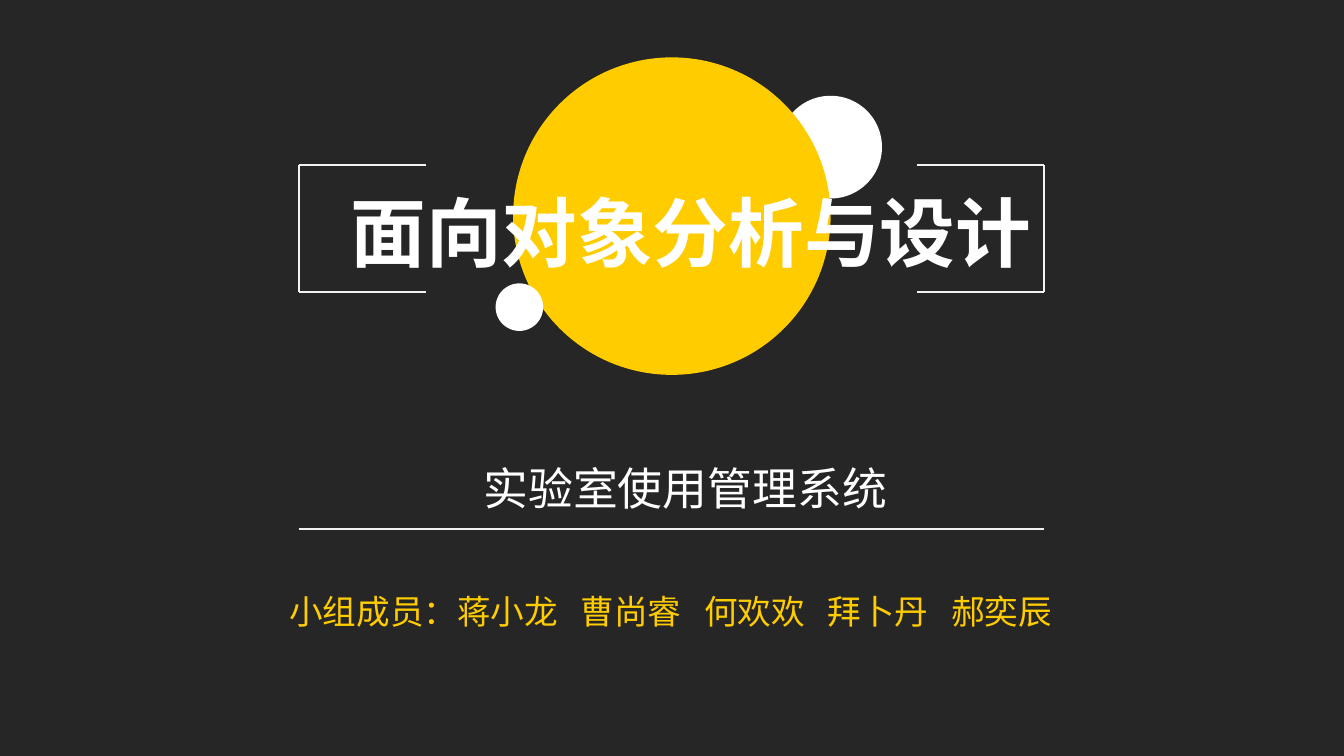
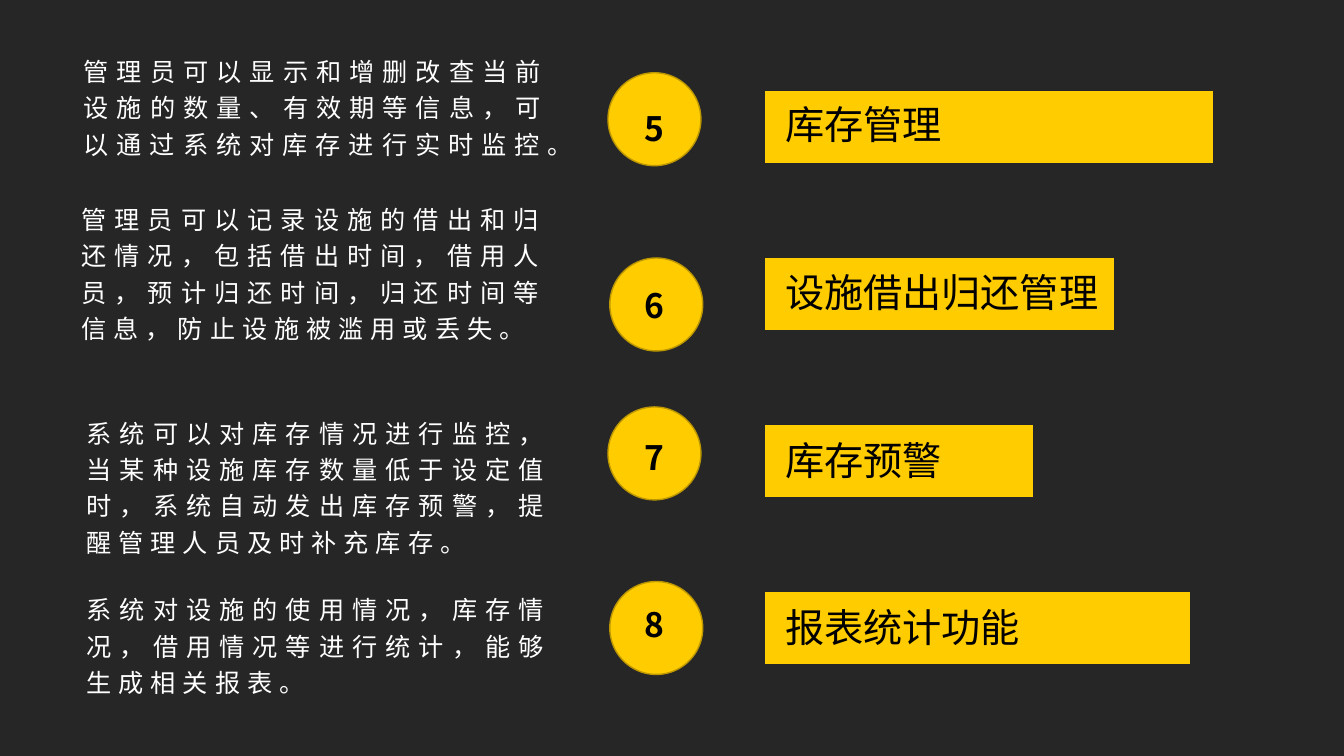
"""Build the title slide and the function overview of a laboratory management deck."""
from lxml.etree import SubElement
from pptx import Presentation
from pptx.chart.data import CategoryChartData
from pptx.dml.color import RGBColor
from pptx.enum.chart import XL_CHART_TYPE
from pptx.enum.lang import MSO_LANGUAGE_ID
from pptx.enum.shapes import MSO_CONNECTOR, MSO_SHAPE
from pptx.enum.text import PP_ALIGN
from pptx.oxml import parse_xml
from pptx.oxml.ns import nsdecls, qn
from pptx.util import Pt

DARK, YELLOW, OCHRE = "262626", "FFCC00", "BD9700"
WHITE, PALE, BLACK = "FFFFFF", "F2F2F2", "000000"
HEADING_FONT, BODY_FONT, LABEL_FONT = "Noto Sans CJK JP", "Noto Sans CJK SC", "Calibri"


def paint(fill, colour):
    """Fill with a hex colour, or clear the fill when there is none."""
    if colour is None:
        fill.background()
    else:
        fill.solid()
        fill.fore_color.rgb = RGBColor.from_string(colour)


def write(page, text, left, top, width, height, size, colour=WHITE, font=HEADING_FONT,
          bold=False, align=PP_ALIGN.LEFT, leading=1.0, spacing=0, tabs=()):
    """Add a text box with one formatted paragraph."""
    box = page.shapes.add_textbox(Pt(left), Pt(top), Pt(width), Pt(height))
    box.text_frame.word_wrap = True
    para = box.text_frame.paragraphs[0]
    para.alignment = align
    para.line_spacing = leading
    if tabs:
        tab_list = SubElement(para._p.get_or_add_pPr(), qn("a:tabLst"))
        for position in tabs:
            SubElement(tab_list, qn("a:tab"), pos=str(Pt(position)), algn="l")
    span = para.add_run()
    span.text = text
    span.font.name = font
    span.font.size = Pt(size)
    span.font.bold = bold
    span.font.language_id = MSO_LANGUAGE_ID.SIMPLIFIED_CHINESE
    paint(span.font.fill, colour)
    properties = span._r.get_or_add_rPr()
    if spacing:
        properties.set("spc", str(spacing * 100))
    east_asian = BODY_FONT if font == LABEL_FONT else font
    SubElement(properties, qn("a:ea"), typeface=east_asian)


deck = Presentation()
deck.slide_width, deck.slide_height = Pt(960), Pt(540)
cover, overview = [deck.slides.add_slide(deck.slide_layouts[6]) for _ in range(2)]
for page in (cover, overview):
    paint(page.background.fill, DARK)

circles = [
    (cover, 556.6, 68.4, 73.4, WHITE, None),
    (cover, 366.5, 41, 226.8, YELLOW, None),
    (cover, 354, 202.4, 34, WHITE, None),
    (overview, 434.3, 52, 66.4, YELLOW, OCHRE),
    (overview, 435.6, 184.3, 66.4, YELLOW, OCHRE),
    (overview, 434.3, 290.7, 66.4, YELLOW, OCHRE),
    (overview, 435.6, 415.4, 66.4, YELLOW, OCHRE),
]
for page, left, top, size, colour, outline in circles:
    circle = page.shapes.add_shape(MSO_SHAPE.OVAL, Pt(left), Pt(top), Pt(size), Pt(size))
    circle.shadow.inherit = False
    paint(circle.fill, colour)
    paint(circle.line.fill, outline)
    if outline:
        circle.line.width = Pt(1)

frame_left, frame_right, frame_top, frame_bottom = 213.3, 745.8, 118, 208.7
rules = [(frame_left, 378, frame_right, 378)]
for side, inward in ((frame_left, 90.7), (frame_right, -90.7)):
    rules.append((side, frame_top, side, frame_bottom))
    for edge in (frame_top, frame_bottom):
        rules.append((side, edge, side + inward, edge))
for ends in rules:
    rule = cover.shapes.add_connector(MSO_CONNECTOR.STRAIGHT, *map(Pt, ends))
    paint(rule.line.fill, PALE)
    rule.line.width = Pt(1.5)
    SubElement(rule._element.spPr, qn("a:effectLst"))

write(cover, "面向对象分析与设计", 213.3, 129, 560, 107, 54, bold=True, align=PP_ALIGN.CENTER)
write(cover, "实验室使用管理系统", 201.6, 330, 576, 46, 32, align=PP_ALIGN.CENTER, leading=0.9)
members = ["小组成员：蒋小龙", "曹尚睿", "何欢欢", "拜卜丹", "郝奕辰"]
write(cover, "\t".join(members), 199.6, 418.3, 620, 36, 24, YELLOW, LABEL_FONT,
      tabs=[120 + 88.2 * step for step in range(1, len(members))])

data = CategoryChartData()
data.categories = ["1", "2", "3", "4"]
data.add_series("Series 1", (95, 60, 78, 100))
chart = overview.shapes.add_chart(XL_CHART_TYPE.BAR_CLUSTERED, Pt(539.3), Pt(8.6),
                                  Pt(406), Pt(501), data).chart
chart.has_legend = chart.has_title = False
chart.font.name, chart.font.size = LABEL_FONT, Pt(10)
paint(chart.font.fill, BLACK)
chart.category_axis.visible = chart.value_axis.visible = False
chart.value_axis.has_major_gridlines = False
chart.value_axis.minimum_scale, chart.value_axis.maximum_scale = 0, 120
plot = chart.plots[0]
plot.gap_width = 131
plot.vary_by_categories = False
paint(plot.series[0].format.fill, YELLOW)
plot_area = chart._chartSpace.chart.plotArea
for layout in plot_area.findall(qn("c:layout")):
    plot_area.remove(layout)
plot_area.insert(0, parse_xml(
    f'<c:layout {nsdecls("c")}><c:manualLayout><c:layoutTarget val="inner"/>'
    '<c:xMode val="edge"/><c:yMode val="edge"/><c:x val="0.017"/><c:y val="0.045"/>'
    '<c:w val="0.946"/><c:h val="0.952"/></c:manualLayout></c:layout>'))

functions = [
    ("库存管理", 67.7, 52.6, 32.4, BODY_FONT,
     "管理员可以显示和增删改查当前设施的数量、有效期等信息，可以通过系统对库存进行实时监控。"),
    ("设施借出归还管理", 194.4, 51.1, 138.2, "Arial",
     "管理员可以记录设施的借出和归还情况，包括借出时间，借用人员，预计归还时间，归还时间等信息，防止设施被滥用或丢失。"),
    ("库存预警", 303.1, 54.7, 290.9, HEADING_FONT,
     "系统可以对库存情况进行监控，当某种设施库存数量低于设定值时，系统自动发出库存预警，提醒管理人员及时补充库存。"),
    ("报表统计功能", 421.9, 54.7, 416.9, HEADING_FONT,
     "系统对设施的使用情况，库存情况，借用情况等进行统计，能够生成相关报表。"),
]
for index, (label, number_top, left, top, font, description) in enumerate(functions):
    write(overview, description, left, top, 346, 86, 18, font=font,
          align=PP_ALIGN.JUSTIFY, leading=1.2, spacing=5)
    write(overview, str(index + 5), 453.6, number_top, 64, 42, 24, BLACK, bold=True, leading=1.2)
    write(overview, label, 553.7, 68.4 + 119.7 * index, 320, 41, 28, BLACK, LABEL_FONT)

deck.save("out.pptx")
